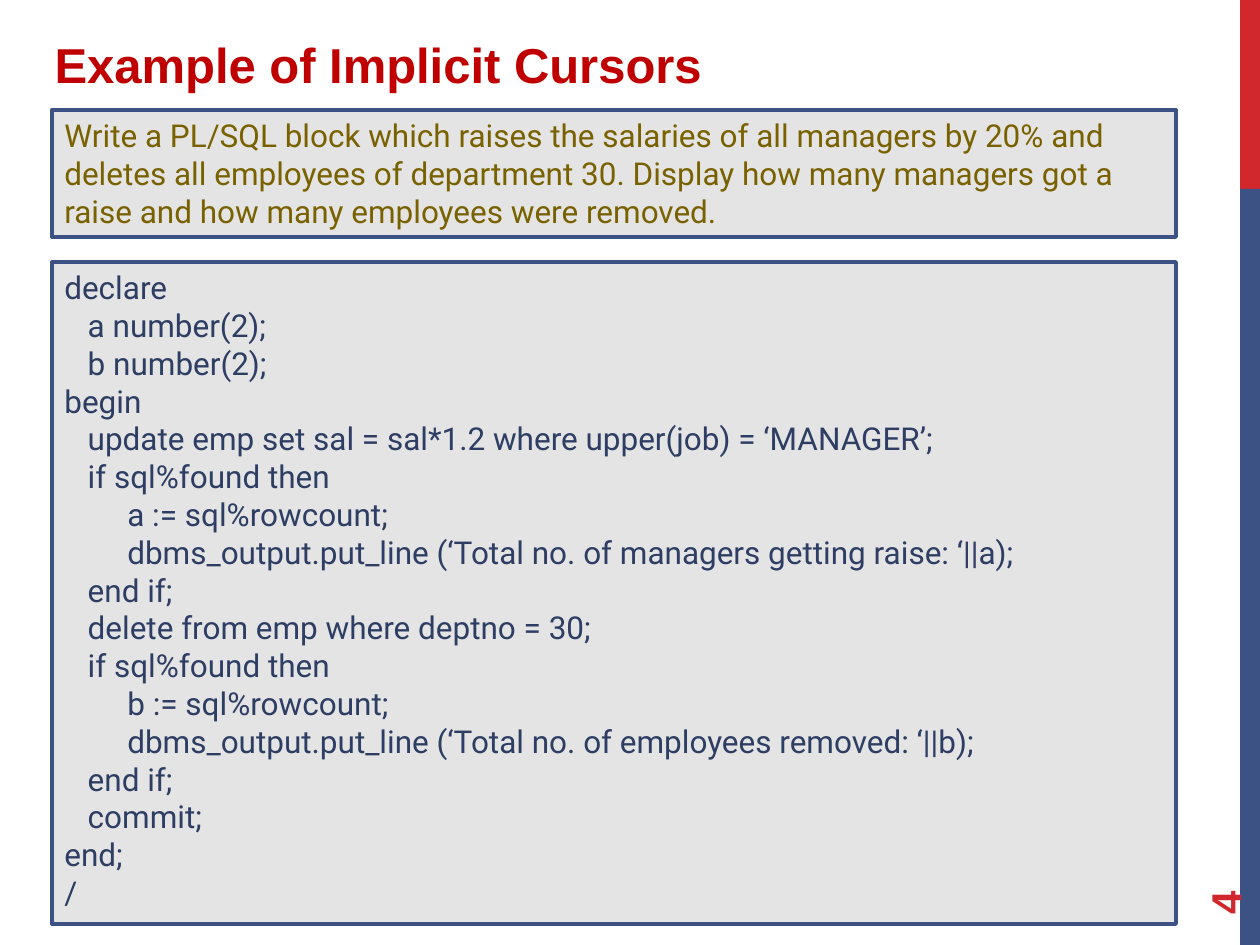
from pptx import Presentation
from pptx import util as u
from pptx.dml.color import RGBColor
from pptx.enum import shapes, text

PX = u.Inches(1) / 126
COLORS = {
    "red": "D1282E", "blue": "3C5184", "panel": "E4E4E4",
    "heading": "C00000", "task": "7A6100", "code": "2D3D63",
}
TASK = ("Write a PL/SQL block which raises the salaries of all managers by 20% "
        "and deletes all employees of department 30. Display how many managers "
        "got a raise and how many employees were removed.")
CODE = """declare
   a number(2);
   b number(2);
begin
   update emp set sal = sal*1.2 where upper(job) = ‘MANAGER’;
   if sql%found then
     \ta := sql%rowcount;
\tdbms_output.put_line (‘Total no. of managers getting raise: ‘||a);
   end if;
   delete from emp where deptno = 30;
   if sql%found then
     \tb := sql%rowcount;
\tdbms_output.put_line (‘Total no. of employees removed: ‘||b);
   end if;
   commit;
end;
/"""


def px(length):
    return u.Emu(round(length * PX))


def color(name):
    return RGBColor.from_string(COLORS[name])


def write(shape, content, ink, anchor=text.MSO_ANCHOR.TOP, **font):
    """Fill a shape with left-aligned paragraphs, one for each line."""
    frame = shape.text_frame
    frame.word_wrap = True
    frame.auto_size = text.MSO_AUTO_SIZE.NONE
    frame.vertical_anchor = anchor
    for number, line in enumerate(content.split("\n")):
        para = frame.paragraphs[0] if number == 0 else frame.add_paragraph()
        para.alignment = text.PP_ALIGN.LEFT
        span = para.add_run()
        span.text = line
        for key, value in font.items():
            setattr(span.font, key, value)
        span.font.color.rgb = color(ink)


def add_block(page, box, fill, line=None):
    block = page.shapes.add_shape(shapes.MSO_SHAPE.RECTANGLE, *map(px, box))
    block.shadow.inherit = False
    block.fill.solid()
    block.fill.fore_color.rgb = color(fill)
    if line:
        block.line.color.rgb = color(line)
        block.line.width = u.Pt(2.25)
    else:
        block.line.fill.background()
    return block


def add_side_bar(page, box):
    """Red top fifth, blue remainder, page number beside the bar."""
    left, top, width, height = box
    split = height // 5
    add_block(page, (left, top, width, split), "red")
    add_block(page, (left, top + split, width, height - split), "blue")
    number = page.shapes.add_textbox(
        px(left - 106), px(top + height - 134), px(181), px(50))
    number.rotation = 270
    write(number, "4", "red", text.MSO_ANCHOR.MIDDLE,
          name="Arial", size=u.Pt(24), bold=True)


def add_title(page, box, content):
    title = page.shapes.title
    for key, value in zip(("left", "top", "width", "height"), box):
        setattr(title, key, px(value))
    title.text_frame.margin_top = px(10)
    write(title, content, "heading", name="Arial", size=u.Pt(28), bold=True)


def add_panel(page, box, content, ink):
    panel = add_block(page, box, "panel", "blue")
    write(panel, content, ink, name="Roboto", size=u.Pt(18))


def main():
    deck = Presentation()
    deck.slide_width, deck.slide_height = px(1260), px(945)
    page = deck.slides.add_slide(deck.slide_layouts[5])  # Title Only

    add_side_bar(page, (1240, 0, 20, 945))
    add_title(page, (42, 24, 861, 84), "Example of Implicit Cursors")
    # Task statement above, its solution below
    add_panel(page, (52, 110, 1124, 127), TASK, "task")
    add_panel(page, (52, 262, 1124, 662), CODE, "code")

    deck.save("out.pptx")


if __name__ == "__main__":
    main()
